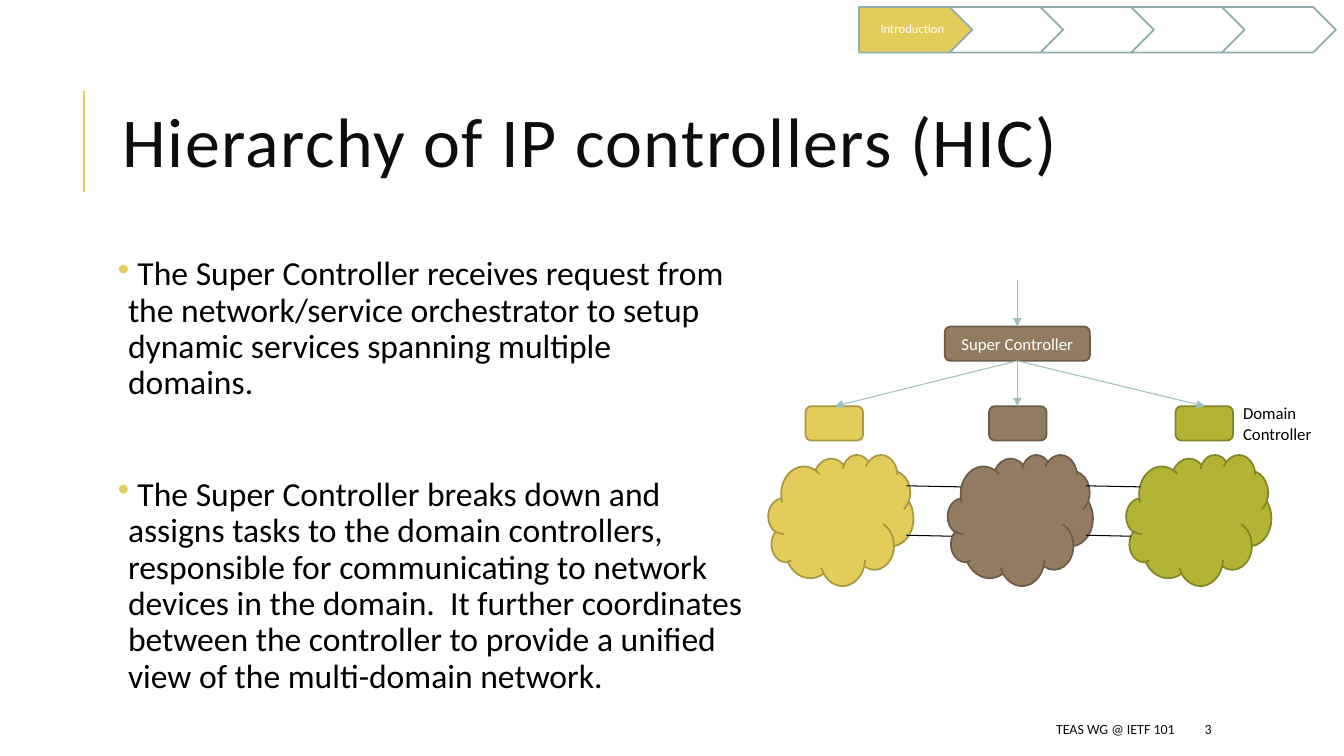
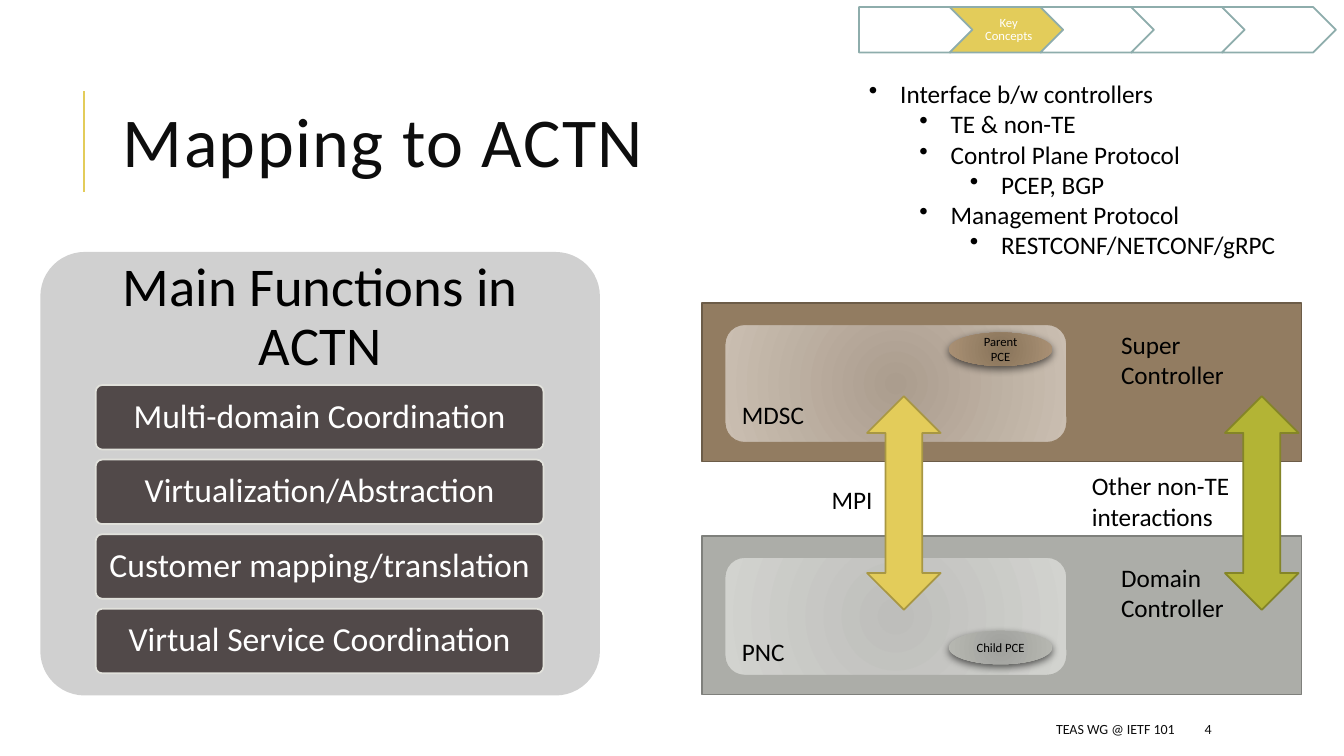
from lxml import etree
from pptx import Presentation
from pptx import util as u
from pptx.dml.color import RGBColor
from pptx.enum import shapes, text
from pptx.oxml.ns import qn

PX = 9144  # EMU per px, 100 px to the inch
FONT = "Calibri"
COLORS = {
    "white": "FFFFFF", "black": "000000", "ink": "0D0D0D",
    "gold": "E3CC5A", "gold_edge": "A89743",
    "brown": "927C61", "brown_edge": "6C5C48",
    "olive": "B3B435", "olive_edge": "848527",
    "gray": "ACADA8", "gray_edge": "7F807C",
    "step_edge": "8EADAC", "arrow": "9DBFBE",
    "panel": "D0D0D0", "bar": "514949", "bar_edge": "E1E1DB",
    "brown_card_in": "AB9D8E", "brown_card_out": "CABEB1",
    "gray_card_in": "BEBEBB", "gray_card_out": "D2D3CF",
    "brown_pce_in": "88745A", "brown_pce_out": "AA9175",
    "gray_pce_in": "A0A19D", "gray_pce_out": "B7B8B2",
}
RGB = {name: RGBColor.from_string(value) for name, value in COLORS.items()}
KIND = shapes.MSO_SHAPE
ALIGN = text.PP_ALIGN
ANCHOR = text.MSO_ANCHOR

PLAIN = {"size": 18, "ink": "black", "align": ALIGN.LEFT, "anchor": ANCHOR.TOP,
         "inset": (10, 5, 10, 5), "spacing": 1.0, "tracking": 0}
CAPTION = {**PLAIN, "ink": "white", "align": ALIGN.CENTER, "anchor": ANCHOR.MIDDLE}
TITLE = {"size": 50, "ink": "ink", "anchor": ANCHOR.MIDDLE, "spacing": 0.8, "tracking": 100}
FOOTER = {"size": 10, "ink": "ink", "anchor": ANCHOR.MIDDLE}
STEP = {"size": 9, "spacing": 0.9, "inset": (5, 3, 1, 3)}


def put(slide, kind, box, words="", fill=None, edge=None, weight=1.25, corner=None, **style):
    """Add a preset shape, or a text box if kind is None; a pair as fill is a radial gradient."""
    box = [value * PX for value in box]
    if kind is None:
        item = slide.shapes.add_textbox(*box)
    else:
        item = slide.shapes.add_shape(kind, *box)
        item.shadow.inherit = False
        if isinstance(fill, tuple):
            item.fill.gradient()
            for stop, color, position in zip(item.fill.gradient_stops, fill, (0, 1)):
                stop.color.rgb = RGB[color]
                stop.position = position
            gradient = item._element.spPr.find(qn("a:gradFill"))
            gradient.remove(gradient.find(qn("a:lin")))
            radial = etree.SubElement(gradient, qn("a:path"), path="circle")
            etree.SubElement(radial, qn("a:fillToRect"), dict.fromkeys("ltrb", "50000"))
        else:
            item.fill.solid()
            item.fill.fore_color.rgb = RGB[fill]
        if edge:
            item.line.color.rgb = RGB[edge]
            item.line.width = u.Pt(weight)
        else:
            item.line.fill.background()
        if corner:
            item.adjustments[0] = corner
    if not words:
        return item

    look = {**(PLAIN if kind is None else CAPTION), **style}
    frame = item.text_frame
    sides = ("margin_left", "margin_top", "margin_right", "margin_bottom")
    margins = {side: value * PX for side, value in zip(sides, look["inset"])}
    frame_format = {"text": words, "word_wrap": True, "vertical_anchor": look["anchor"], **margins}
    for name, value in frame_format.items():
        setattr(frame, name, value)
    for paragraph in frame.paragraphs:
        paragraph.alignment = look["align"]
        paragraph.line_spacing = look["spacing"]
        for run in paragraph.runs:
            for name, value in {"name": FONT, "size": u.Pt(look["size"])}.items():
                setattr(run.font, name, value)
            run.font.color.rgb = RGB[look["ink"]]
            if look["tracking"]:
                run.font._element.set("spc", str(look["tracking"]))
    return item


def draw_line(slide, start, end, color, weight=0.75, arrow=False):
    ends = [value * PX for value in (*start, *end)]
    line = slide.shapes.add_connector(shapes.MSO_CONNECTOR.STRAIGHT, *ends)
    line.line.color.rgb = RGB[color]
    line.line.width = u.Pt(weight)
    if arrow:
        etree.SubElement(line.line._get_or_add_ln(), qn("a:tailEnd"), type="triangle")
    etree.SubElement(line._element.spPr, qn("a:effectLst"))


deck = Presentation()
deck.slide_width = 1333 * PX
deck.slide_height = 750 * PX

# Shared parts: title, rule, footer and progress steps
slides = []
pages = [("Hierarchy of IP controllers (HIC)", "Introduction"),
         ("Mapping to ACTN", "Key Concepts")]
for active, (title, topic) in enumerate(pages):
    slide = deck.slides.add_slide(deck.slide_layouts[6])
    slides.append(slide)
    draw_line(slide, (83, 190), (83, 90), "gold", 1.5)
    put(slide, None, (112, 64, 1063, 164), title, **TITLE)
    put(slide, None, (530, 708, 645, 30), "TEAS WG @ IETF 101", align=ALIGN.RIGHT, **FOOTER)
    put(slide, None, (1185, 708, 106, 30), str(active + 3), **FOOTER)
    for step in range(5):
        put(slide, KIND.CHEVRON if step else KIND.PENTAGON, (852 + 90 * step, 7, 113, 45),
            topic if step == active else "", "gold" if step == active else "white",
            "step_edge", **STEP)
hierarchy, mapping = slides

# Hierarchy: explanation
duties = put(hierarchy, None, (112, 250, 630, 440),
             " The Super Controller receives request from the network/service orchestrator "
             "to setup dynamic services spanning multiple domains.\n"
             " The Super Controller breaks down and assigns tasks to the domain controllers, "
             "responsible for communicating to network devices in the domain.  It further "
             "coordinates between the controller to provide a unified view of the "
             "multi-domain network.",
             size=24, spacing=0.9, inset=(5, 5, 5, 5))
for paragraph, gap in zip(duties.text_frame.paragraphs, (54, 2)):
    paragraph.space_after = u.Pt(gap)
    props = paragraph._p.get_or_add_pPr()
    props.set("marL", str(10 * PX))
    props.set("indent", str(-10 * PX))
    bullet_color = etree.SubElement(props, qn("a:buClr"))
    etree.SubElement(bullet_color, qn("a:srgbClr"), val=COLORS["gold"])
    etree.SubElement(props, qn("a:buChar"), char="•")

# Hierarchy: domains and their controllers
domains = [("gold", 762, 799, 828), ("brown", 940, 981, 1009), ("olive", 1117, 1166, 1195)]
for color, cloud_x, controller_x, _ in domains:
    edge = color + "_edge"
    put(hierarchy, KIND.CLOUD, (cloud_x, 451, 144, 130), fill=color, edge=edge)
    put(hierarchy, KIND.ROUNDED_RECTANGLE, (controller_x, 403, 57, 34), fill=color, edge=edge)
put(hierarchy, KIND.ROUNDED_RECTANGLE, (937, 324, 144, 34), "Super Controller",
    "brown", "brown_edge", size=12)
for _, cloud_x, _, _ in domains[:-1]:
    for y, reach in ((482, 191), (531, 182)):
        draw_line(hierarchy, (cloud_x + 137, y), (cloud_x + reach, y + 1), "black")
for *_, target_x in domains:
    draw_line(hierarchy, (1009, 358), (target_x, 403), "arrow", arrow=True)
draw_line(hierarchy, (1009, 278), (1009, 324), "arrow", arrow=True)
put(hierarchy, None, (1223, 395, 169, 50), "Domain\nController", size=12)

# Mapping: main functions
put(mapping, KIND.ROUNDED_RECTANGLE, (40, 250, 555, 440), fill="panel", corner=0.1)
put(mapping, None, (40, 250, 555, 132), "Main Functions in ACTN", size=39, spacing=0.9,
    align=ALIGN.CENTER, anchor=ANCHOR.MIDDLE, inset=(16, 16, 16, 16))
functions = ["Multi-domain Coordination", "Virtualization/Abstraction",
             "Customer mapping/translation", "Virtual Service Coordination"]
for row, function in enumerate(functions):
    put(mapping, KIND.ROUNDED_RECTANGLE, (95, 382 + 74 * row, 444, 64), function,
        "bar", "bar_edge", corner=0.1, size=24, spacing=0.9, inset=(7, 5, 7, 5))

# Mapping: controller layers
layers = [("brown", 301, "Super Controller", "MDSC", 391, "Parent PCE", 330),
          ("gray", 532, "Domain Controller", "PNC", 626, "Child PCE", 626)]
for color, top, controller, role, role_y, pce, pce_y in layers:
    put(mapping, KIND.RECTANGLE, (696, top, 595, 157), fill=color, edge=color + "_edge")
    put(mapping, KIND.ROUNDED_RECTANGLE, (719, top + 21, 339, 117),
        fill=(color + "_card_in", color + "_card_out"), edge=color, weight=0.75)
    put(mapping, None, (1102, top + 21, 169, 71), controller)
    put(mapping, None, (726, role_y, 169, 40), role)
    engine = put(mapping, KIND.OVAL, (941, pce_y, 103, 33), pce,
                 (color + "_pce_in", color + "_pce_out"), size=9, ink="black")
    effects = engine._element.spPr.find(qn("a:effectLst"))
    shadow = etree.SubElement(effects, qn("a:outerShdw"), blurRad=str(u.Pt(6)),
                              dist=str(u.Pt(2)), dir="5400000", rotWithShape="0")
    shade = etree.SubElement(shadow, qn("a:srgbClr"), val=COLORS["black"])
    etree.SubElement(shade, qn("a:alpha"), val="60000")

# Mapping: interfaces between the layers
for color, x in (("gold", 860), ("olive", 1215)):
    put(mapping, KIND.UP_DOWN_ARROW, (x, 393, 73, 212), fill=color, edge=color + "_edge")
put(mapping, None, (1073, 462, 169, 71), "Other non-TE interactions")
put(mapping, None, (815, 476, 169, 40), "MPI")

interfaces = [(0, "Interface b/w controllers"), (1, "TE & non-TE"),
              (1, "Control Plane Protocol"), (2, "PCEP, BGP"),
              (1, "Management Protocol"), (2, "RESTCONF/NETCONF/gRPC")]
outline = put(mapping, None, (852, 73, 455, 192), "\n".join(entry for _, entry in interfaces))
for paragraph, (level, _) in zip(outline.text_frame.paragraphs, interfaces):
    paragraph.level = level
    props = paragraph._p.get_or_add_pPr()
    props.set("marL", str((31 + 50 * level) * PX))
    props.set("indent", str(-31 * PX))
    etree.SubElement(props, qn("a:buChar"), char="•")

deck.save("out.pptx")
